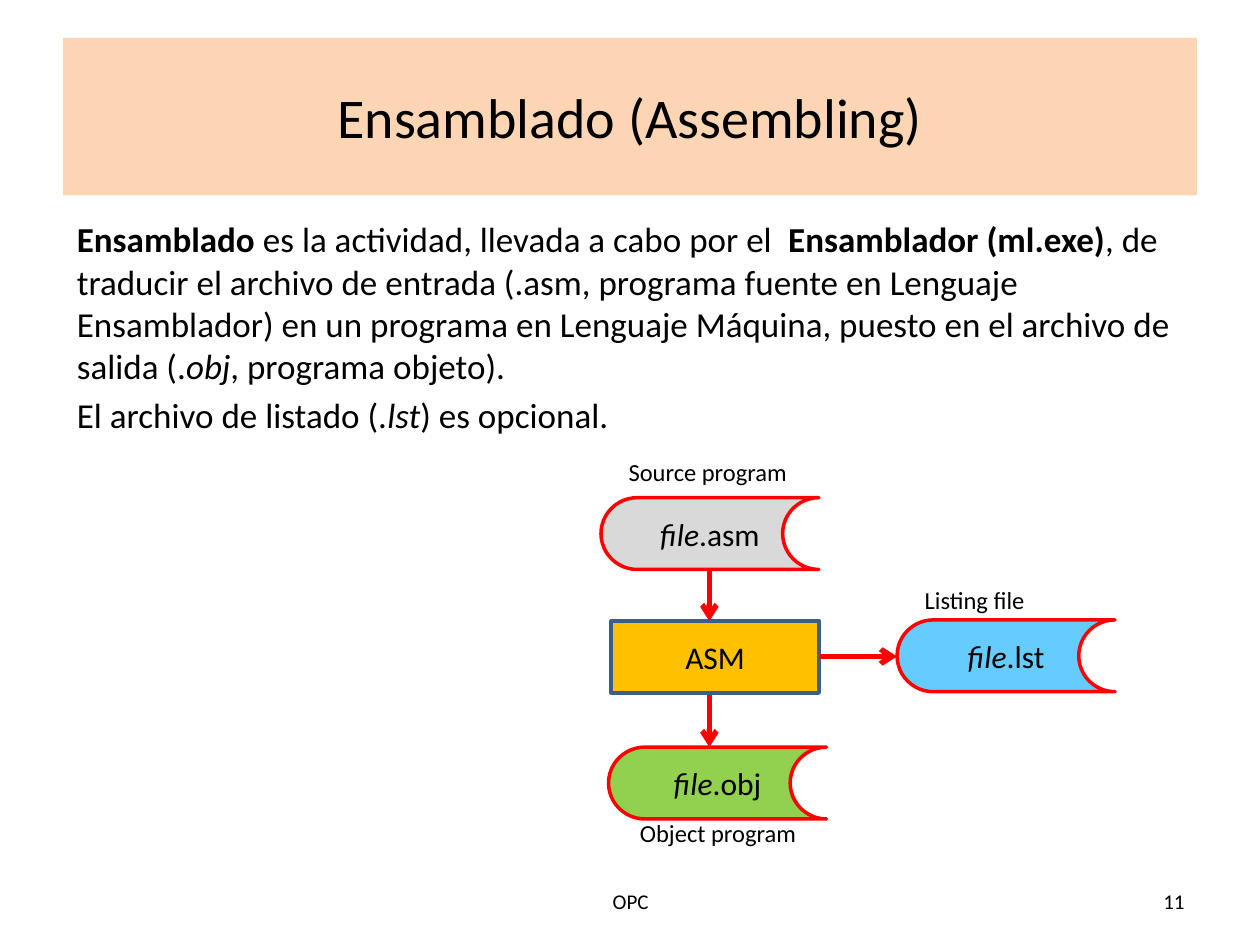
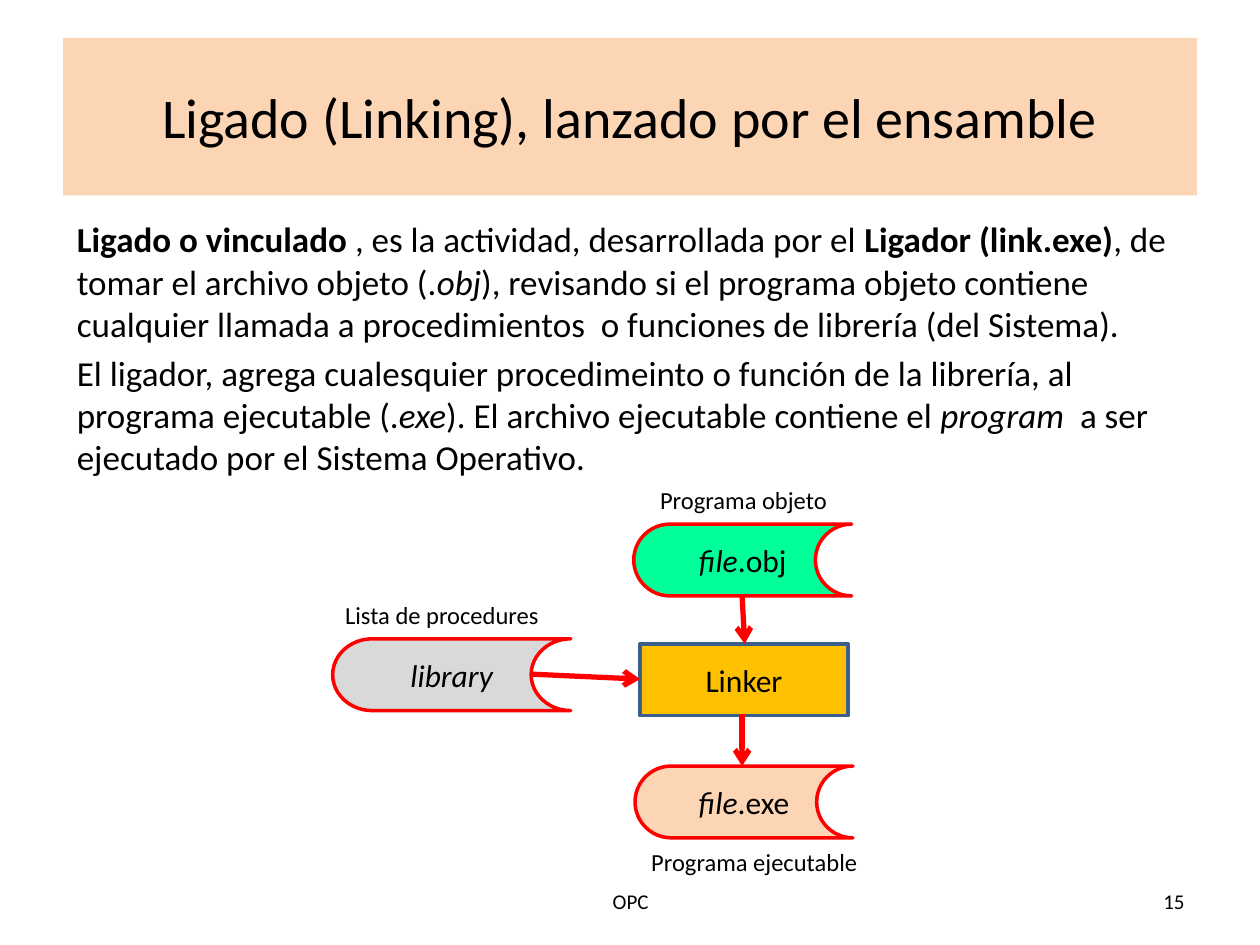
from dataclasses import dataclass
from typing import Any, NamedTuple

from lxml.etree import SubElement
from pptx import Presentation
from pptx.dml.color import RGBColor
from pptx.enum.shapes import MSO_CONNECTOR, MSO_SHAPE
from pptx.enum.text import MSO_ANCHOR, MSO_AUTO_SIZE, PP_ALIGN
from pptx.oxml.ns import qn
from pptx.util import Inches, Pt


@dataclass(frozen=True)
class Theme:
    font: str = "Calibri"
    ink: str = "000000"
    peach: str = "FCD5B5"
    red: str = "FF0000"
    navy: str = "3A5F8C"
    gold: str = "FFC000"
    grey: str = "D9D9D9"
    green: str = "92D050"
    mint: str = "00FF99"
    sky: str = "66CCFF"
    title: int = 32
    body: int = 20
    node: int = 18
    label: int = 14
    foot: int = 12
    edge: int = 2
    arrow: int = 3


THEME = Theme()


class Run(NamedTuple):
    text: str
    bold: bool = False
    slant: bool = False


class Box(NamedTuple):
    left: float
    top: float
    width: float
    height: float


class Store(NamedTuple):
    left: float
    top: float
    fill: str
    runs: list[Run]
    width: float = 1.73


class Step(NamedTuple):
    left: float
    top: float
    text: str


class Label(NamedTuple):
    left: float
    top: float
    width: float
    text: str


class Arrow(NamedTuple):
    x1: float
    y1: float
    x2: float
    y2: float


@dataclass(frozen=True)
class Page:
    title: str
    number: str
    body: list[list[Run]]
    stores: list[Store]
    step: Step
    labels: list[Label]
    arrows: list[Arrow]


TITLE = Box(0.5, 0.3, 9, 1.25)
BODY = Box(0.51, 1.68, 9, 5.22)
FOOT = Box(3.42, 6.95, 3.17, 0.4)
NUMBER = Box(7.17, 6.95, 2.33, 0.4)
STEP_WIDTH = 1.65
NODE_HEIGHT = 0.57
LABEL_HEIGHT = 0.34

FRAME = {"word_wrap": True, "auto_size": MSO_AUTO_SIZE.NONE}
MIDDLE = FRAME | {"vertical_anchor": MSO_ANCHOR.MIDDLE}
TOP = FRAME | {"vertical_anchor": MSO_ANCHOR.TOP}
LEFT = {"alignment": PP_ALIGN.LEFT}
CENTER = {"alignment": PP_ALIGN.CENTER}
RIGHT = {"alignment": PP_ALIGN.RIGHT}


def format_with(target: Any, values: dict[str, Any]) -> None:
    for name, value in values.items():
        setattr(target, name, value)


def place(shape: Any, box: Box) -> None:
    format_with(shape, {name: Inches(size) for name, size in box._asdict().items()})


def paint(shape: Any, color: str) -> None:
    shape.fill.solid()
    shape.fill.fore_color.rgb = RGBColor.from_string(color)


def stroke(line: Any, color: str, width: int) -> None:
    line.color.rgb = RGBColor.from_string(color)
    line.width = Pt(width)


def write(shape: Any, lines: list[list[Run]], size: int,
          frame: dict[str, Any], style: dict[str, Any]) -> None:
    text = shape.text_frame
    format_with(text, frame)
    for index, runs in enumerate(lines):
        para = text.add_paragraph() if index else text.paragraphs[0]
        format_with(para, style)
        for run in runs:
            part = para.add_run()
            part.text = run.text
            format_with(part.font, {"name": THEME.font, "size": Pt(size),
                                    "bold": run.bold, "italic": run.slant})
            part.font.color.rgb = RGBColor.from_string(THEME.ink)


def add_text(slide: Any, box: Box, text: str, size: int,
             frame: dict[str, Any], style: dict[str, Any]) -> None:
    shape = slide.shapes.add_textbox(*map(Inches, box))
    write(shape, [[Run(text)]], size, frame, style)


def add_node(slide: Any, kind: MSO_SHAPE, box: Box, fill: str,
             edge: str, runs: list[Run]) -> None:
    shape = slide.shapes.add_shape(kind, *map(Inches, box))
    shape.shadow.inherit = False
    paint(shape, fill)
    stroke(shape.line, edge, THEME.edge)
    write(shape, [runs], THEME.node, MIDDLE, CENTER)


def add_arrow(slide: Any, arrow: Arrow) -> None:
    link = slide.shapes.add_connector(MSO_CONNECTOR.STRAIGHT, *map(Inches, arrow))
    stroke(link.line, THEME.red, THEME.arrow)
    props = link._element.spPr
    SubElement(props.find(qn("a:ln")), qn("a:tailEnd"), type="arrow")
    SubElement(props, qn("a:effectLst"))


def fill_body(shape: Any, lines: list[list[Run]]) -> None:
    place(shape, BODY)
    write(shape, lines, THEME.body, TOP, LEFT | {"space_before": Pt(THEME.body * 0.2)})
    for para in shape.text_frame.paragraphs:
        props = para._p.get_or_add_pPr()
        for name in ("marL", "indent"):
            props.set(name, "0")
        SubElement(props, qn("a:buNone"))


def add_page(deck: Any, page: Page) -> None:
    slide = deck.slides.add_slide(deck.slide_layouts[1])
    title, body = slide.placeholders
    place(title, TITLE)
    paint(title, THEME.peach)
    write(title, [[Run(page.title)]], THEME.title, MIDDLE, CENTER)
    fill_body(body, page.body)
    add_text(slide, FOOT, "OPC", THEME.foot, MIDDLE, CENTER)
    add_text(slide, NUMBER, page.number, THEME.foot, MIDDLE, RIGHT)
    for store in page.stores:
        box = Box(store.left, store.top, store.width, NODE_HEIGHT)
        add_node(slide, MSO_SHAPE.FLOWCHART_STORED_DATA, box, store.fill,
                 THEME.red, store.runs)
    step = page.step
    add_node(slide, MSO_SHAPE.FLOWCHART_PROCESS,
             Box(step.left, step.top, STEP_WIDTH, NODE_HEIGHT),
             THEME.gold, THEME.navy, [Run(step.text)])
    for label in page.labels:
        box = Box(label.left, label.top, label.width, LABEL_HEIGHT)
        add_text(slide, box, label.text, THEME.label, TOP, LEFT)
    for arrow in page.arrows:
        add_arrow(slide, arrow)


def bold(text: str) -> Run:
    return Run(text, bold=True)


def slant(text: str) -> Run:
    return Run(text, slant=True)


def file(ending: str) -> list[Run]:
    return [slant("file"), Run(ending)]


PAGES = [
    Page(
        title="Ensamblado (Assembling)",
        number="11",
        body=[
            [bold("Ensamblado "), Run("es la actividad, llevada a cabo por el  "),
             bold("Ensamblador (ml.exe)"),
             Run(", de traducir el archivo de entrada (.asm, programa fuente en "
                 "Lenguaje Ensamblador) en un programa en Lenguaje Máquina, "
                 "puesto en el archivo de salida (."),
             slant("obj"), Run(", programa objeto).")],
            [Run("El archivo de listado (."), slant("lst"), Run(") es opcional.")],
        ],
        stores=[
            Store(4.77, 3.95, THEME.grey, file(".asm")),
            Store(4.83, 5.93, THEME.green, file(".obj")),
            Store(7.12, 4.92, THEME.sky, file(".lst")),
        ],
        step=Step(4.85, 4.93, "ASM"),
        labels=[
            Label(4.89, 3.58, 1.5, "Source program"),
            Label(4.98, 6.44, 1.5, "Object program"),
            Label(7.24, 4.59, 1.5, "Listing file"),
        ],
        arrows=[
            Arrow(5.63, 4.52, 5.63, 4.93),
            Arrow(5.63, 5.52, 5.63, 5.93),
            Arrow(6.51, 5.21, 7.12, 5.21),
        ],
    ),
    Page(
        title="Ligado (Linking), lanzado por el ensamble",
        number="15",
        body=[
            [bold("Ligado o vinculado "), Run(", es la actividad, desarrollada por el "),
             bold("Ligador (link.exe)"), Run(", de tomar el archivo objeto (."),
             slant("obj"),
             Run("), revisando si el programa objeto contiene cualquier llamada a "
                 "procedimientos  o funciones de librería (del Sistema).")],
            [Run("El ligador, agrega cualesquier procedimeinto o función de la "
                 "librería, al programa ejecutable (."),
             slant("exe"), Run("). El archivo ejecutable contiene el "),
             slant("program"), Run("  a ser ejecutado por el Sistema Operativo.")],
        ],
        stores=[
            Store(5.03, 4.16, THEME.mint, file(".obj")),
            Store(5.04, 6.08, THEME.peach, file(".exe")),
            Store(2.64, 5.07, THEME.grey, [slant("library")], 1.89),
        ],
        step=Step(5.08, 5.11, "Linker"),
        labels=[
            Label(5.14, 3.8, 1.63, "Programa objeto"),
            Label(5.07, 6.67, 1.85, "Programa ejecutable"),
            Label(2.64, 4.71, 1.77, "Lista de procedures"),
        ],
        arrows=[
            Arrow(5.89, 4.73, 5.91, 5.11),
            Arrow(5.89, 5.67, 5.89, 6.08),
            Arrow(4.21, 5.35, 5.08, 5.39),
        ],
    ),
]


def main() -> None:
    deck = Presentation()
    format_with(deck, {"slide_width": Inches(10), "slide_height": Inches(7.5)})
    for page in PAGES:
        add_page(deck, page)
    deck.save("out.pptx")


if __name__ == "__main__":
    main()
